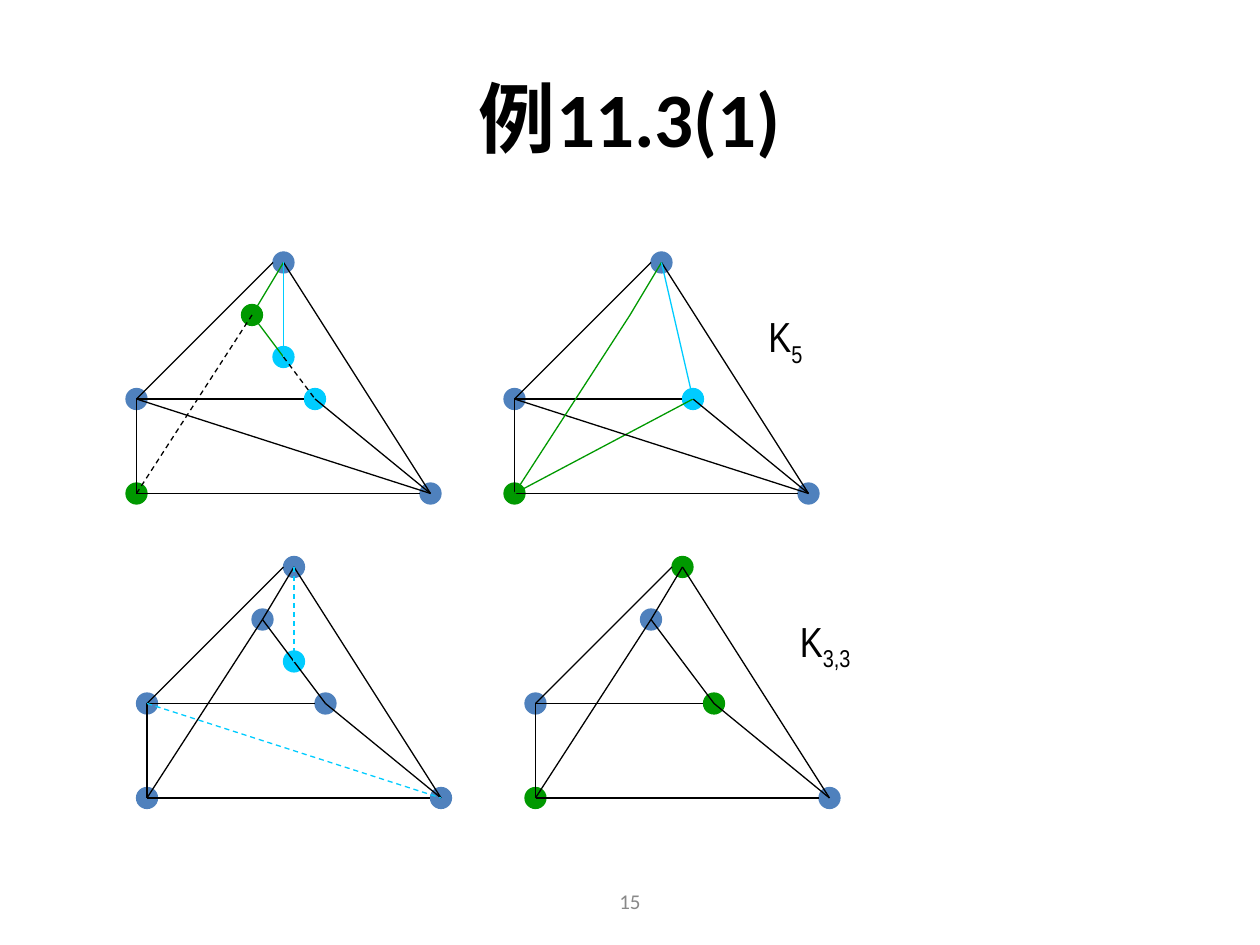
from dataclasses import dataclass

from lxml import etree
from pptx import Presentation
from pptx.dml.color import RGBColor
from pptx.enum.dml import MSO_LINE
from pptx.enum.shapes import MSO_CONNECTOR, MSO_SHAPE
from pptx.enum.text import MSO_ANCHOR, MSO_AUTO_SIZE, PP_ALIGN
from pptx.oxml.ns import qn
from pptx.util import Pt

OVAL = MSO_SHAPE.OVAL
STRAIGHT = MSO_CONNECTOR.STRAIGHT
DASH = MSO_LINE.DASH
MIDDLE = MSO_ANCHOR.MIDDLE
CENTER = PP_ALIGN.CENTER
FIT_TEXT = MSO_AUTO_SIZE.SHAPE_TO_FIT_TEXT
TITLE_ONLY = 5


@dataclass(frozen=True)
class Theme:
    black: RGBColor = RGBColor(0x00, 0x00, 0x00)
    grey: RGBColor = RGBColor(0x89, 0x89, 0x89)
    blue: RGBColor = RGBColor(0x4F, 0x81, 0xBD)
    green: RGBColor = RGBColor(0x00, 0x99, 0x00)
    cyan: RGBColor = RGBColor(0x00, 0xCC, 0xFF)
    heading_font: str = "Calibri"
    label_font: str = "Arial Narrow"
    title_size: int = 44
    label_size: int = 24
    number_size: int = 12
    line_width: float = 0.75
    vertex_size: int = 12


THEME = Theme()
BLACK, BLUE, GREEN, CYAN = THEME.black, THEME.blue, THEME.green, THEME.cyan

# Offsets in points from the top left of a graph; the *_rim points lie on
# the left edge of a vertex, where some edges stop.
POINTS = {
    "apex": (84, 0), "upper": (66, 30), "middle": (84, 54), "inner": (102, 78),
    "left": (0, 78), "low": (0, 132), "right": (168, 132),
    "apex_rim": (78, 0), "inner_rim": (96, 78), "right_rim": (162, 132),
}

FRAME = [
    ("left", "low", BLACK), ("low", "right_rim", BLACK),
    ("left", "inner_rim", BLACK), ("inner", "right", BLACK),
    ("left", "apex_rim", BLACK), ("apex", "right", BLACK),
]
INNER_PATH = [
    ("upper", "middle", BLACK), ("middle", "inner", BLACK),
    ("upper", "apex", BLACK), ("low", "upper", BLACK),
]

# Each graph: origin, vertex colours, edges besides the frame
GRAPHS = [
    ((78, 150),
     {"apex": BLUE, "upper": GREEN, "middle": CYAN, "inner": CYAN,
      "left": BLUE, "low": GREEN, "right": BLUE},
     [("upper", "middle", GREEN), ("middle", "inner", BLACK, DASH),
      ("upper", "apex", GREEN), ("left", "right", BLACK),
      ("low", "upper", BLACK, DASH), ("apex", "middle", CYAN)]),
    ((294, 150),
     {"apex": BLUE, "inner": CYAN, "left": BLUE, "low": GREEN, "right": BLUE},
     [("low", "inner", GREEN), ("upper", "apex", GREEN),
      ("left", "right", BLACK), ("low", "upper", GREEN),
      ("apex", "inner", CYAN)]),
    ((84, 324),
     {"apex": BLUE, "upper": BLUE, "middle": CYAN, "inner": BLUE,
      "left": BLUE, "low": BLUE, "right": BLUE},
     INNER_PATH + [("left", "right", CYAN, DASH),
                   ("apex", "middle", CYAN, DASH)]),
    ((306, 324),
     {"apex": GREEN, "upper": BLUE, "inner": GREEN,
      "left": BLUE, "low": GREEN, "right": BLUE},
     INNER_PATH),
]

# Name, subscript, box
GRAPH_NAMES = [
    ("K", "5", (432, 174, 42, 40)),
    ("K", "3,3", (450, 348, 60, 40)),
]


def apply_format(target, values):
    for attribute, value in values.items():
        setattr(target, attribute, value)


class SlideBuilder:
    def __init__(self, slide, theme):
        self.slide = slide
        self.theme = theme

    def style_run(self, run, font, size, color, bold=False):
        apply_format(run.font, {"name": font, "size": Pt(size), "bold": bold})
        run.font.color.rgb = color

    def title(self, text, box):
        heading = self.slide.shapes.title
        apply_format(heading, dict(zip(("left", "top", "width", "height"),
                                       map(Pt, box))))
        heading.text_frame.vertical_anchor = MIDDLE
        paragraph = heading.text_frame.paragraphs[0]
        paragraph.alignment = CENTER
        run = paragraph.add_run()
        run.text = text
        self.style_run(run, self.theme.heading_font, self.theme.title_size,
                       self.theme.black, bold=True)

    def text_box(self, box, frame_format, paragraph_format):
        """Add an empty text box and return its first paragraph."""
        frame = self.slide.shapes.add_textbox(*map(Pt, box)).text_frame
        apply_format(frame, {"word_wrap": True, **frame_format})
        paragraph = frame.paragraphs[0]
        apply_format(paragraph, paragraph_format)
        return paragraph

    def page_number(self, text, box):
        paragraph = self.text_box(box, {"vertical_anchor": MIDDLE},
                                  {"alignment": CENTER})
        run = paragraph.add_run()
        run.text = text
        self.style_run(run, self.theme.heading_font, self.theme.number_size,
                       self.theme.grey)

    def graph_name(self, name, subscript, box):
        paragraph = self.text_box(box, {"auto_size": FIT_TEXT},
                                  {"space_before": Pt(15)})
        for text in (name, subscript):
            run = paragraph.add_run()
            run.text = text
            self.style_run(run, self.theme.label_font, self.theme.label_size,
                           self.theme.black)
        run.font._element.set("baseline", "-25000")

    def vertex(self, center, color):
        size = self.theme.vertex_size
        left, top = (Pt(value - size / 2) for value in center)
        dot = self.slide.shapes.add_shape(OVAL, left, top, Pt(size), Pt(size))
        dot.shadow.inherit = False
        dot.fill.solid()
        dot.fill.fore_color.rgb = color
        dot.line.color.rgb = color
        dot.line.width = Pt(self.theme.line_width)

    def edge(self, start, end, color, dash=None):
        connector = self.slide.shapes.add_connector(
            STRAIGHT, *map(Pt, (*start, *end)))
        connector.line.color.rgb = color
        apply_format(connector.line, {"width": Pt(self.theme.line_width),
                                      "dash_style": dash})
        etree.SubElement(connector._element.spPr, qn("a:effectLst"))

    def graph(self, origin, vertices, edges):
        places = {name: (origin[0] + x, origin[1] + y)
                  for name, (x, y) in POINTS.items()}
        for name, color in vertices.items():
            self.vertex(places[name], color)
        for start, end, *style in FRAME + edges:
            self.edge(places[start], places[end], *style)


def main():
    presentation = Presentation()
    apply_format(presentation, {"slide_width": Pt(720),
                                "slide_height": Pt(540)})
    slide = presentation.slides.add_slide(
        presentation.slide_layouts[TITLE_ONLY])
    builder = SlideBuilder(slide, THEME)
    builder.title("例11.3(1)", (36, 21.6, 648, 90))
    builder.page_number("15", (246, 500.5, 228, 28.75))
    for graph in GRAPHS:
        builder.graph(*graph)
    for graph_name in GRAPH_NAMES:
        builder.graph_name(*graph_name)
    presentation.save("out.pptx")


if __name__ == "__main__":
    main()
